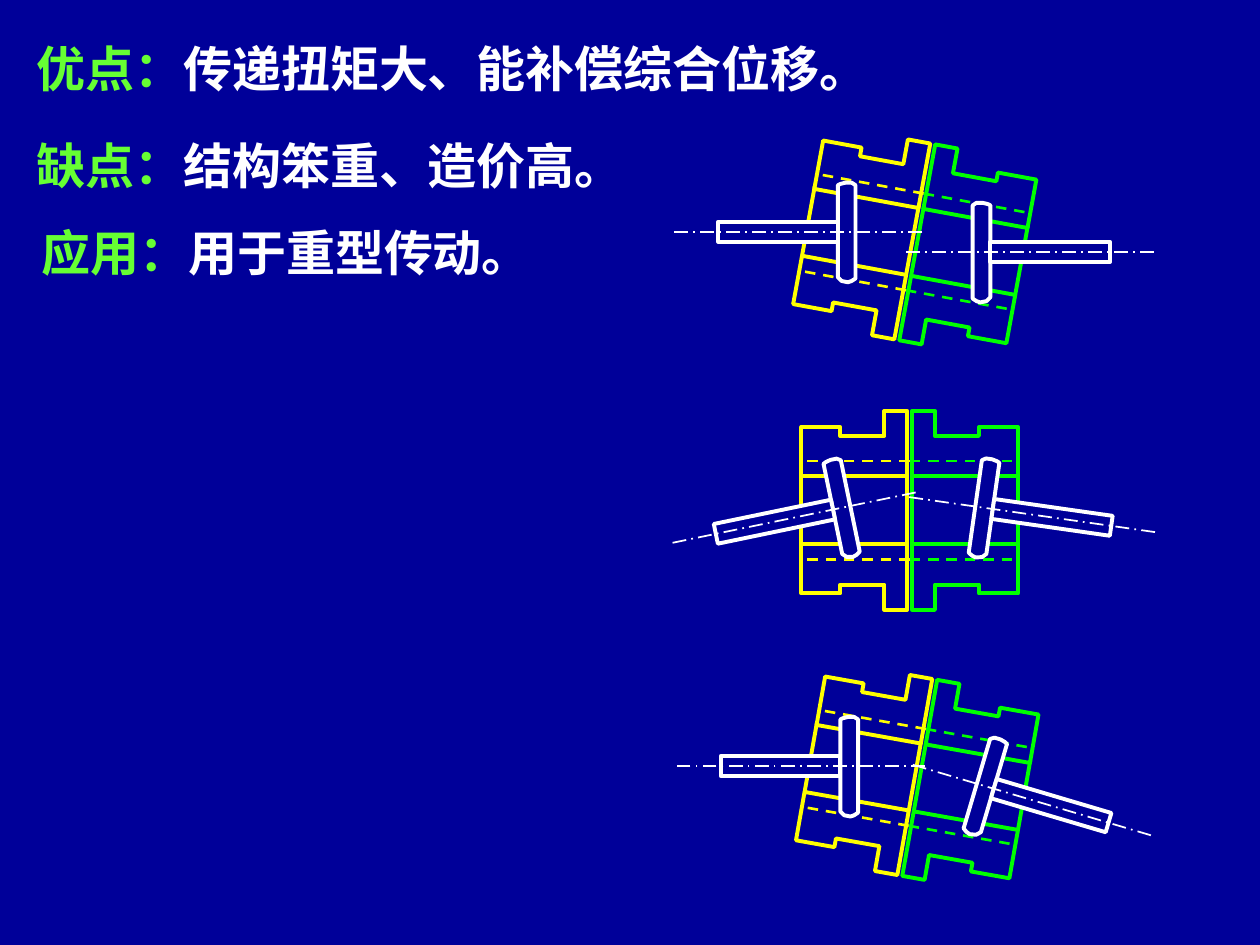
from dataclasses import dataclass
from math import cos, radians, sin

from lxml.etree import SubElement
from pptx import Presentation
from pptx.dml.color import RGBColor
from pptx.enum.dml import MSO_LINE
from pptx.enum.shapes import MSO_CONNECTOR, MSO_SHAPE
from pptx.oxml.ns import qn
from pptx.util import Inches, Pt


@dataclass(frozen=True)
class Theme:
    back: RGBColor = RGBColor(0x00, 0x00, 0x99)
    white: RGBColor = RGBColor(0xFF, 0xFF, 0xFF)
    label: RGBColor = RGBColor(0x66, 0xFF, 0x33)
    left: RGBColor = RGBColor(0xFF, 0xFF, 0x00)
    right: RGBColor = RGBColor(0x00, 0xFF, 0x00)
    font: str = "Noto Sans CJK SC"
    size: Pt = Pt(28)
    lead: Pt = Pt(36)
    thick: Pt = Pt(2.25)
    dash: Pt = Pt(1.5)
    thin: Pt = Pt(1)


THEME = Theme()

NOTES = [
    (0.29, 0.27, 6.65, "优点：", "传递扭矩大、能补偿综合位移。"),
    (0.29, 1.04, 5.32, "缺点：", "结构笨重、造价高。"),
    (0.33, 1.73, 4.63, "应用：", "用于重型传动。"),
]

# centre x, centre y, tilt in degrees
SLEEVES = [(7.22, 4.05, 0), (7.28, 6.17, 10.1), (7.26, 1.92, 10.4)]

# pairs of shafts: disc centre x, y, tilt, side
SHAFTS = [
    [(7.79, 2.0, 0, 1), (6.72, 1.84, 0, -1)],
    [(6.68, 4.03, -11.7, -1), (7.81, 4.03, 8.1, 1)],
    [(6.74, 6.08, 0, -1), (7.82, 6.24, 16.5, 1)],
]

# outlines in inches: out from the centre, down from the axis
FLANGE = [(0.86, -0.66), (0.55, -0.66), (0.55, -0.59), (0.2, -0.59),
          (0.2, -0.79), (0.02, -0.79), (0.02, -0.27), (0.86, -0.27)]
DISC = [(-0.07, 0.37), (-0.07, -0.37), (-0.04, -0.39), (0.01, -0.39),
        (0.05, -0.38), (0.07, -0.37), (0.07, 0.36), (0.04, 0.39),
        (-0.01, 0.4), (-0.04, 0.39)]


class Frame:
    """Draws in a tilted frame, mirrored when side is -1."""

    def __init__(self, shapes, x, y, tilt, side):
        self.shapes, self.side, self.tilt = shapes, side, tilt
        self.x, self.y = Inches(x), Inches(y)

    def turn(self, x, y):
        a = radians(self.tilt)
        return (round(self.x + x * cos(a) - y * sin(a)),
                round(self.y + x * sin(a) + y * cos(a)))

    def flat(self, x, y):
        return Inches(self.side * x), Inches(y)

    def finish(self, shape, color, fill=None):
        """Tilts a level shape about the frame's centre and paints it."""
        x = shape.left + shape.width / 2
        y = shape.top + shape.height / 2
        x, y = self.turn(x, y)
        shape.left = round(x - shape.width / 2)
        shape.top = round(y - shape.height / 2)
        shape.rotation = self.tilt
        shape.shadow.inherit = False
        if fill is None:
            shape.fill.background()
        else:
            shape.fill.solid()
            shape.fill.fore_color.rgb = fill
        shape.line.color.rgb = color
        shape.line.width = THEME.thick

    def form(self, points, color, fill=None):
        points = [self.flat(x, y) for x, y in points]
        pen = self.shapes.build_freeform(*points[0])
        pen.add_line_segments(points[1:], close=True)
        self.finish(pen.convert_to_shape(), color, fill)

    def rect(self, x, y, w, h, color, fill):
        left = x if self.side > 0 else -x - w
        shape = self.shapes.add_shape(
            MSO_SHAPE.RECTANGLE, *map(Inches, (left, y, w, h)))
        self.finish(shape, color, fill)

    def line(self, start, end, color, width, dash=None):
        a, b = (self.turn(*self.flat(*p)) for p in (start, end))
        line = self.shapes.add_connector(MSO_CONNECTOR.STRAIGHT, *a, *b)
        line.line.color.rgb = color
        line.line.width = width
        if dash:
            line.line.dash_style = dash
        SubElement(line._element.spPr, qn("a:effectLst"))


def draw_sleeve(slide, x, y, tilt):
    """Two mirrored halves that meet at the centre."""
    group = slide.shapes.add_group_shape()
    for side, color in ((1, THEME.right), (-1, THEME.left)):
        half = Frame(group.shapes, x, y, tilt, side)
        for sign in (1, -1):
            half.form([(u, sign * v) for u, v in FLANGE], color)
            half.line((0, -0.39 * sign), (0.85, -0.39 * sign),
                      color, THEME.dash, MSO_LINE.DASH)
        for u in (0.86, 0.02):
            half.line((u, 0.27), (u, -0.29), color, THEME.thick)


def draw_shaft(shapes, x, y, tilt, side):
    """Disc, rod and centre line."""
    part = Frame(shapes, x, y, tilt, side)
    part.form(DISC, THEME.white, THEME.back)
    part.rect(0.07, -0.08, 0.95, 0.16, THEME.white, THEME.back)
    part.line((-0.6, 0), (1.38, 0), THEME.white, THEME.thin,
              MSO_LINE.LONG_DASH_DOT)


def add_note(slide, x, y, width, label, text):
    box = slide.shapes.add_textbox(*map(Inches, (x, y, width, 0.47)))
    frame = box.text_frame
    frame.word_wrap = False
    frame.margin_left = frame.margin_right = 0
    frame.margin_top = frame.margin_bottom = 0
    para = frame.paragraphs[0]
    para.line_spacing = THEME.lead
    for words, color in ((label, THEME.label), (text, THEME.white)):
        run = para.add_run()
        run.text = words
        font = run.font
        font.size, font.bold, font.name = THEME.size, True, THEME.font
        font.color.rgb = color
        SubElement(run._r.get_or_add_rPr(), qn("a:ea"), typeface=THEME.font)


def main():
    deck = Presentation()
    deck.slide_width, deck.slide_height = Inches(10), Inches(7.5)
    slide = deck.slides.add_slide(deck.slide_layouts[6])
    slide.background.fill.solid()
    slide.background.fill.fore_color.rgb = THEME.back
    for note in NOTES:
        add_note(slide, *note)
    for sleeve in SLEEVES:
        draw_sleeve(slide, *sleeve)
    for pair in SHAFTS:
        group = slide.shapes.add_group_shape()
        for shaft in pair:
            draw_shaft(group.shapes, *shaft)
    deck.save("out.pptx")


if __name__ == "__main__":
    main()
